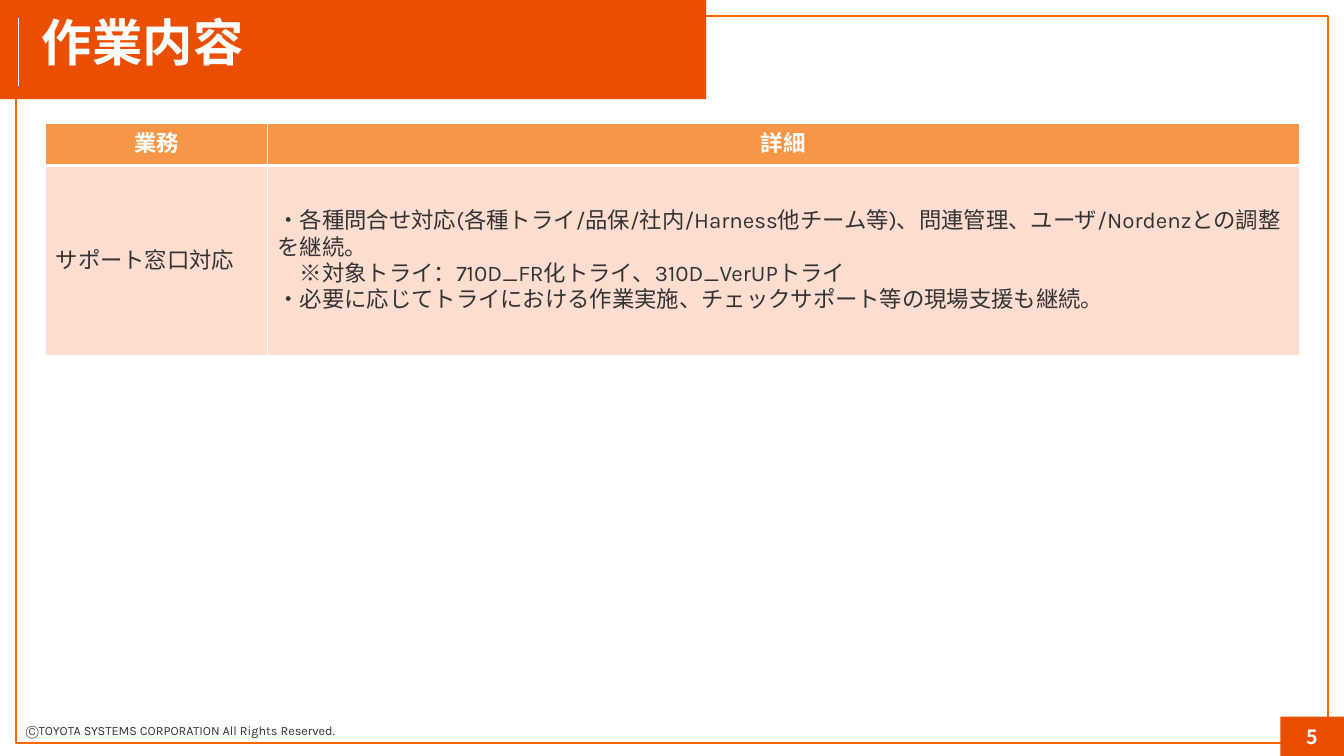
"""Build the work-description slide with its banner, footer and task table."""
from dataclasses import dataclass

import lxml.etree
import pptx
import pptx.dml.color
import pptx.enum.shapes
import pptx.enum.text
import pptx.oxml.ns
import pptx.util

Cm = pptx.util.Cm
Pt = pptx.util.Pt
qn = pptx.oxml.ns.qn
Align = pptx.enum.text.PP_ALIGN
Anchor = pptx.enum.text.MSO_ANCHOR


@dataclass(frozen=True)
class Theme:
    font: str = "Karla"
    number_font: str = "Noto Sans CJK JP"
    accent: str = "EA4E00"
    frame: str = "FF6600"
    header: str = "F79646"
    body: str = "FCDDCF"
    text: str = "333333"
    white: str = "FFFFFF"
    title_size: int = 36
    table_size: int = 16
    number_size: int = 14
    footer_size: int = 9


def rgb(value):
    return pptx.dml.color.RGBColor.from_string(value)


class SlideBuilder:
    def __init__(self, prs, theme):
        self.theme = theme
        self.s = prs.slides.add_slide(prs.slide_layouts[5])

    def run(self, p, text, size, color, bold=False, font=None):
        r = p.add_run()
        r.text = text
        r.font.name = font or self.theme.font
        r.font.size = Pt(size)
        r.font.bold = bold
        r.font.color.rgb = rgb(color)
        ea = lxml.etree.Element(qn("a:ea"), typeface=r.font.name)
        r.font._element.find(qn("a:latin")).addnext(ea)

    def rect(self, left, top, width, height, fill=None, line=None):
        sp = self.s.shapes.add_shape(
            pptx.enum.shapes.MSO_SHAPE.RECTANGLE,
            Cm(left), Cm(top), Cm(width), Cm(height))
        sp.shadow.inherit = False
        if fill:
            sp.fill.solid()
            sp.fill.fore_color.rgb = rgb(fill)
        else:
            sp.fill.background()
        if line:
            sp.line.color.rgb = rgb(line)
            sp.line.width = Pt(1)
        else:
            sp.line.fill.background()
        return sp

    def line(self, x1, y1, x2, y2, color, width):
        cxn = self.s.shapes.add_connector(
            pptx.enum.shapes.MSO_CONNECTOR.STRAIGHT,
            Cm(x1), Cm(y1), Cm(x2), Cm(y2))
        cxn.line.color.rgb = rgb(color)
        cxn.line.width = Pt(width)
        lxml.etree.SubElement(cxn._element.spPr, qn("a:effectLst"))

    def page_number(self, text, left, top, width, height):
        t = self.theme
        tf = self.rect(left, top, width, height, fill=t.accent).text_frame
        tf.margin_left = tf.margin_right = tf.margin_top = tf.margin_bottom = 0
        tf.vertical_anchor = Anchor.MIDDLE
        p = tf.paragraphs[0]
        p.alignment = Align.CENTER
        self.run(p, text, t.number_size, t.white, True, t.number_font)

    def footer(self, text, left, top, width, height):
        sp = self.s.shapes.add_textbox(Cm(left), Cm(top), Cm(width), Cm(height))
        sp.text_frame.word_wrap = True
        self.run(sp.text_frame.paragraphs[0], text,
                 self.theme.footer_size, self.theme.text)

    def title(self, text, left, top, width, height):
        sp = self.s.shapes.title
        self.s.shapes._spTree.append(sp._element)
        sp.left, sp.top, sp.width, sp.height = Cm(left), Cm(top), Cm(width), Cm(height)
        tf = sp.text_frame
        tf.word_wrap = True
        tf.auto_size = pptx.enum.text.MSO_AUTO_SIZE.NONE
        tf.vertical_anchor = Anchor.TOP
        p = tf.paragraphs[0]
        p.alignment = Align.LEFT
        p.line_spacing = 0.9
        p.space_before = Pt(0)
        self.run(p, text, self.theme.title_size, self.theme.white, True)

    def borders(self, cell, bottom):
        tc_pr = cell._tc.get_or_add_tcPr()
        for i, (side, width) in enumerate(
                (("lnL", 1), ("lnR", 1), ("lnT", 1), ("lnB", bottom))):
            ln = lxml.etree.Element(qn("a:" + side), w=str(Pt(width)))
            fill = lxml.etree.SubElement(ln, qn("a:solidFill"))
            lxml.etree.SubElement(fill, qn("a:srgbClr"), val=self.theme.white)
            tc_pr.insert(i, ln)

    def cell(self, cell, paragraphs, is_header):
        t = self.theme
        cell.fill.solid()
        cell.fill.fore_color.rgb = rgb(t.header if is_header else t.body)
        cell.vertical_anchor = Anchor.MIDDLE
        self.borders(cell, 3 if is_header else 1)
        tf = cell.text_frame
        for i, text in enumerate(paragraphs):
            p = tf.add_paragraph() if i else tf.paragraphs[0]
            p.alignment = Align.CENTER if is_header else Align.LEFT
            self.run(p, text, t.table_size,
                     t.white if is_header else t.text, is_header)

    def table(self, rows, left, top, widths, heights):
        table = self.s.shapes.add_table(
            len(rows), len(widths), Cm(left), Cm(top),
            Cm(sum(widths)), Cm(sum(heights))).table
        table.horz_banding = False
        for col, width in zip(table.columns, widths):
            col.width = Cm(width)
        for i, (row, height) in enumerate(zip(rows, heights)):
            table.rows[i].height = Cm(height)
            for j, paragraphs in enumerate(row):
                self.cell(table.cell(i, j), paragraphs, i == 0)


def main():
    prs = pptx.Presentation()
    prs.slide_width, prs.slide_height = Cm(33.87), Cm(19.05)
    theme = Theme()
    slide = SlideBuilder(prs, theme)
    slide.rect(0.4, 0.4, 33.07, 18.32, line=theme.frame)
    slide.page_number("5", 32.27, 18.06, 1.6, 0.99)
    slide.footer("ⒸTOYOTA SYSTEMS CORPORATION All Rights Reserved.",
                 0.4, 18.08, 10.62, 0.64)
    slide.rect(0, 0, 17.8, 2.5, fill=theme.accent)
    slide.line(0.46, 0.46, 0.46, 2.16, theme.white, 0.5)
    slide.title("作業内容", 0.8, 0.33, 16.54, 0.86)
    rows = [
        [["業務"], ["詳細"]],
        [["サポート窓口対応"],
         ["・各種問合せ対応(各種トライ/品保/社内/Harness他チーム等)、問連管理、ユーザ/Nordenzとの調整を継続。",
          "　※対象トライ：710D_FR化トライ、310D_VerUPトライ",
          "・必要に応じてトライにおける作業実施、チェックサポート等の現場支援も継続。"]],
    ]
    slide.table(rows, 1.15, 3.1, widths=(5.59, 26), heights=(1.07, 4.8))
    prs.save("out.pptx")


if __name__ == "__main__":
    main()
